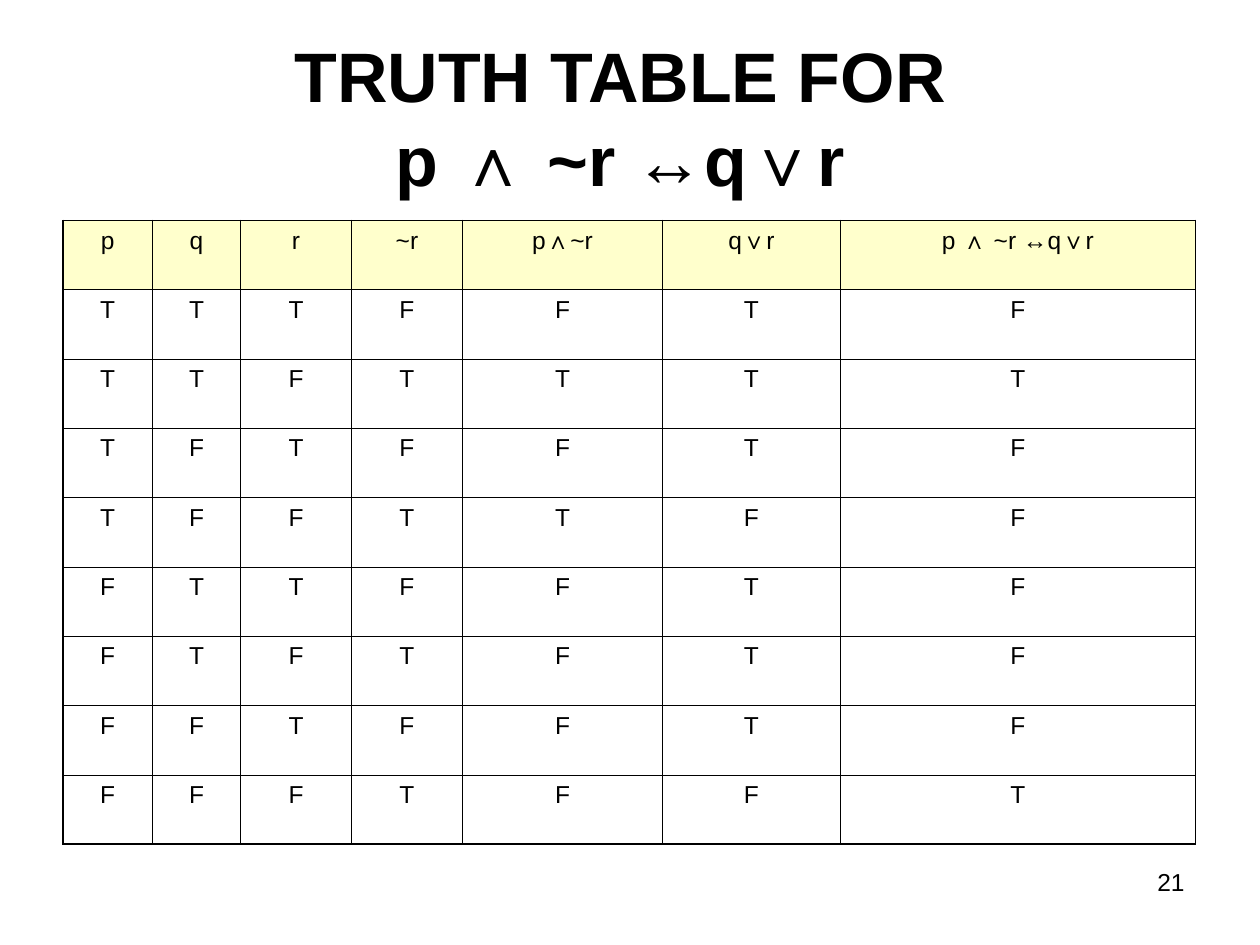
from lxml.etree import SubElement
from pptx import Presentation
from pptx.dml.color import RGBColor
from pptx.enum.text import MSO_ANCHOR, MSO_AUTO_SIZE, PP_ALIGN
from pptx.oxml.ns import qn
from pptx.util import Inches, Pt

BLACK = RGBColor(0x00, 0x00, 0x00)
HEADER_YELLOW = RGBColor(0xFF, 0xFF, 0xCC)
THIN, THICK = Pt(0.45), Pt(1.08)

HEADINGS = ["p", "q", "r", "~r", "p∧~r", "q∨r", "p ∧ ~r ↔q∨r"]
TRUTH_VALUES = ["TTTFFTF", "TTFTTTT", "TFTFFTF", "TFFTTFF",
                "FTTFFTF", "FTFTFTF", "FFTFFTF", "FFFTFFT"]
COLUMN_WIDTHS = [0.71, 0.7, 0.88, 0.88, 1.59, 1.41, 2.82]
ROW_HEIGHT = 0.55


def format_text(paragraph, size, alignment, bold=False):
    paragraph.alignment = alignment
    paragraph.font.name = "Arial"
    paragraph.font.size = Pt(size)
    paragraph.font.bold = bold
    paragraph.font.color.rgb = BLACK


def add_border(cell, side, width):
    """Draw one side ("L", "R", "T" or "B") of a cell in black."""
    line = SubElement(cell._tc.get_or_add_tcPr(), qn(f"a:ln{side}"), w=str(width))
    fill = SubElement(line, qn("a:solidFill"))
    SubElement(fill, qn("a:srgbClr"), val=str(BLACK))


prs = Presentation()
prs.slide_width, prs.slide_height = Inches(10), Inches(7.5)
slide = prs.slides.add_slide(prs.slide_layouts[5])

# Title
title = slide.shapes.title
title.left, title.top = Inches(0.5), Inches(0.3)
title.width, title.height = Inches(9), Inches(1.25)
title.text_frame.auto_size = MSO_AUTO_SIZE.NONE
title.text_frame.vertical_anchor = MSO_ANCHOR.MIDDLE
title.text_frame.text = "TRUTH TABLE FOR \vp ∧ ~r ↔q∨r "
format_text(title.text_frame.paragraphs[0], 40, PP_ALIGN.CENTER, bold=True)

# Truth table
rows = [HEADINGS, *TRUTH_VALUES]
last_row, last_column = len(rows) - 1, len(HEADINGS) - 1
truth_table = slide.shapes.add_table(
    len(rows), len(HEADINGS), Inches(0.5), Inches(1.75),
    Inches(9), Inches(ROW_HEIGHT * len(rows))).table
truth_table.horz_banding = False
truth_table.first_row = False
for column, width in zip(truth_table.columns, COLUMN_WIDTHS):
    column.width = Inches(width)

for r, values in enumerate(rows):
    truth_table.rows[r].height = Inches(ROW_HEIGHT)
    for c, value in enumerate(values):
        cell = truth_table.cell(r, c)
        cell.text = value
        format_text(cell.text_frame.paragraphs[0], 14, PP_ALIGN.CENTER)
        outer_sides = {"L": c == 0, "R": c == last_column,
                       "T": r == 0, "B": r == last_row}
        for side, is_outer in outer_sides.items():
            add_border(cell, side, THICK if is_outer else THIN)
        if r == 0:
            cell.fill.solid()
            cell.fill.fore_color.rgb = HEADER_YELLOW
        else:
            cell.fill.background()

# Page number
page_number = slide.shapes.add_textbox(
    Inches(7.17), Inches(6.83), Inches(2.33), Inches(0.52)).text_frame
page_number.word_wrap = True
page_number.text = "21"
format_text(page_number.paragraphs[0], 14, PP_ALIGN.RIGHT)

prs.save("out.pptx")
